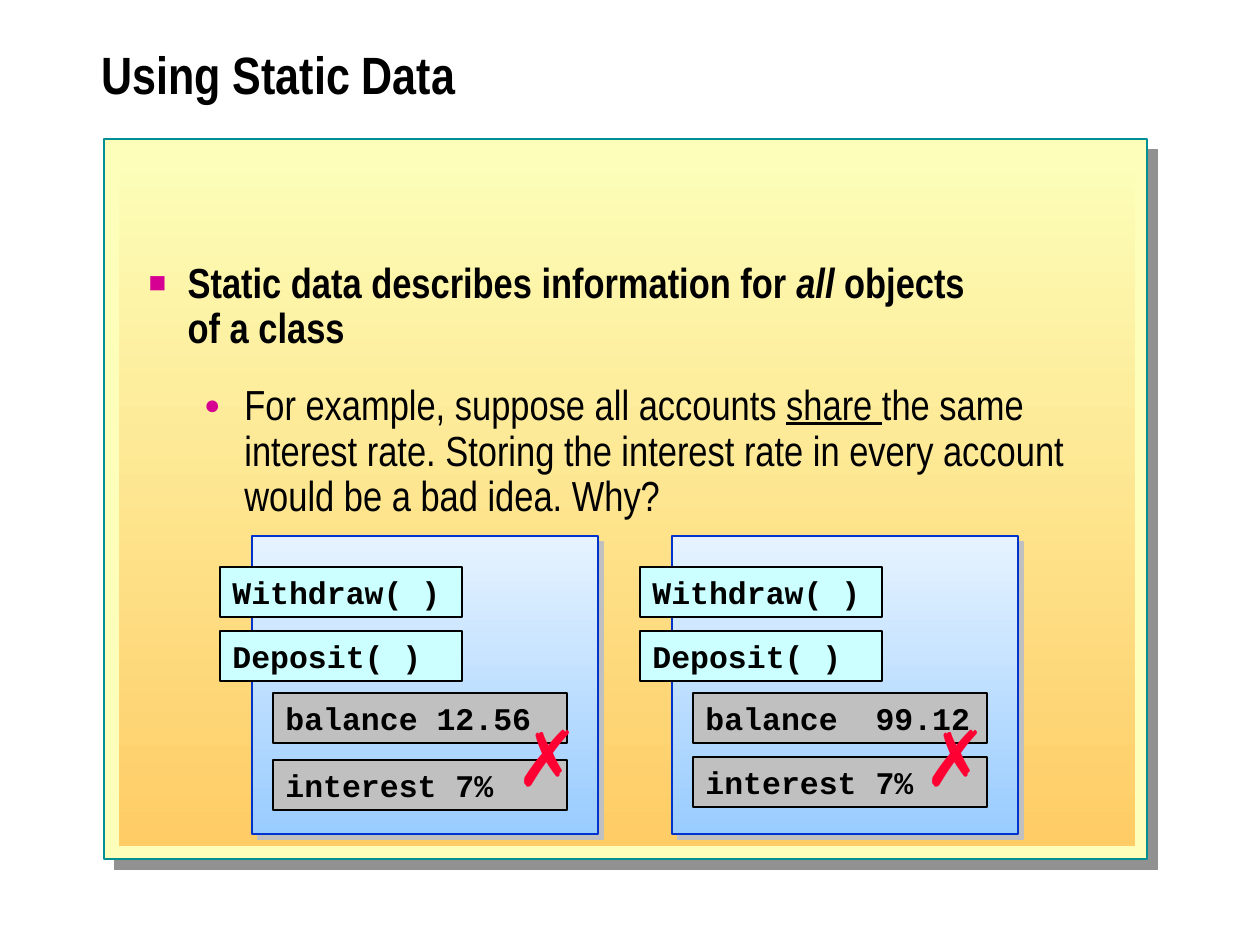
from lxml import etree
from pptx import Presentation
from pptx.dml.color import RGBColor
from pptx.enum.shapes import MSO_SHAPE
from pptx.enum.text import MSO_ANCHOR, MSO_AUTO_SIZE, PP_ALIGN
from pptx.oxml.ns import qn
from pptx.util import Emu, Inches, Pt

RECTANGLE = MSO_SHAPE.RECTANGLE
LEFT = PP_ALIGN.LEFT
TOP, MIDDLE = MSO_ANCHOR.TOP, MSO_ANCHOR.MIDDLE
FIT_SHAPE, NO_FIT = MSO_AUTO_SIZE.SHAPE_TO_FIT_TEXT, MSO_AUTO_SIZE.NONE
EMU_PER_PX = 914400 / 126


def px(length):
    return Emu(round(length * EMU_PER_PX))


def color(hex_string):
    return RGBColor.from_string(hex_string)


class SlideBuilder:
    heading_font = "Arial Narrow"
    code_font = "Courier New"
    symbol_font = "Arial"
    black, accent, red = "000000", "D60093", "FF0033"

    def __init__(self, slide):
        self.slide = slide

    def add_run(self, paragraph, text, font, size, hex_color=black,
                bold=False, italic=False, underline=False):
        run = paragraph.add_run()
        run.text = text
        run.font.name, run.font.size = font, Pt(size)
        run.font.bold, run.font.italic, run.font.underline = bold, italic, underline
        run.font.color.rgb = color(hex_color)

    def rectangle(self, box, fill, line=None, line_width=1, shadow=None):
        """Fill is one colour or a (top, bottom) pair; shadow is (colour, points)."""
        shape = self.slide.shapes.add_shape(RECTANGLE, *map(px, box))
        if isinstance(fill, tuple):
            shape.fill.gradient()
            shape.fill.gradient_angle = 270
            for stop, stop_color in zip(shape.fill.gradient_stops, fill):
                stop.color.rgb = color(stop_color)
        else:
            shape.fill.solid()
            shape.fill.fore_color.rgb = color(fill)
        if line:
            shape.line.color.rgb = color(line)
            shape.line.width = Pt(line_width)
        else:
            shape.line.fill.background()
        shape.shadow.inherit = False
        if shadow:
            shadow_color, distance = shadow
            effects = shape.element.spPr.find(qn("a:effectLst"))
            outer = etree.SubElement(effects, qn("a:outerShdw"), dist=str(Pt(distance)),
                                     dir="2700000", algn="ctr", rotWithShape="0")
            etree.SubElement(outer, qn("a:srgbClr"), val=shadow_color)
        return shape

    def member(self, box, text, fill):
        shape = self.rectangle(box, fill, self.black)
        frame = shape.text_frame
        frame.word_wrap, frame.auto_size = True, FIT_SHAPE
        frame.vertical_anchor = TOP
        paragraph = frame.paragraphs[0]
        paragraph.alignment = LEFT
        self.add_run(paragraph, text, self.code_font, 18, bold=True)

    def cross(self, box):
        frame = self.slide.shapes.add_textbox(*map(px, box)).text_frame
        frame.word_wrap, frame.auto_size = False, FIT_SHAPE
        self.add_run(frame.paragraphs[0], "✗", self.symbol_font, 44, self.red)

    def place(self, placeholder, box, anchor):
        """Position a placeholder in front of everything drawn so far."""
        placeholder.element.getparent().append(placeholder.element)
        placeholder.left, placeholder.top, placeholder.width, placeholder.height = map(px, box)
        frame = placeholder.text_frame
        frame.word_wrap, frame.auto_size, frame.vertical_anchor = True, NO_FIT, anchor
        return frame

    def title(self, box, text):
        paragraph = self.place(self.slide.shapes.title, box, MIDDLE).paragraphs[0]
        paragraph.alignment, paragraph.line_spacing = LEFT, 0.8
        self.add_run(paragraph, text, self.heading_font, 30, bold=True)

    def bullet(self, paragraph, level, symbol, size, margin, hanging):
        paragraph.level, paragraph.alignment = level, LEFT
        paragraph.line_spacing, paragraph.space_before = 0.9, Pt(18)
        properties = paragraph._p.get_or_add_pPr()
        properties.set("marL", str(Inches(margin)))
        properties.set("indent", str(-Inches(hanging)))
        bullet_color = etree.SubElement(properties, qn("a:buClr"))
        etree.SubElement(bullet_color, qn("a:srgbClr"), val=self.accent)
        etree.SubElement(properties, qn("a:buSzPct"), val=str(size * 1000))
        etree.SubElement(properties, qn("a:buFont"), typeface=self.symbol_font)
        etree.SubElement(properties, qn("a:buChar"), char=symbol)

    def body(self, box):
        frame = self.place(self.slide.placeholders[1], box, TOP)
        statement = frame.paragraphs[0]
        self.bullet(statement, 0, "■", 70, 0.31, 0.31)
        font = self.heading_font
        self.add_run(statement, "Static data describes information for ", font, 24, bold=True)
        self.add_run(statement, "all", font, 24, bold=True, italic=True)
        self.add_run(statement, " objects ", font, 24, bold=True)
        statement.add_line_break()
        self.add_run(statement, "of a class", font, 24, bold=True)

        example = frame.add_paragraph()
        self.bullet(example, 1, "●", 65, 0.76, 0.32)
        self.add_run(example, "For example, suppose all accounts ", font, 24)
        self.add_run(example, "share ", font, 24, underline=True)
        self.add_run(example, "the same interest rate. Storing the interest rate in every "
                     "account would be a bad idea. Why?", font, 24)

    def account(self, left, balance, interest_top):
        self.rectangle((left, 536, 346, 298), ("E6F3FF", "99CCFF"), "0033CC", 0.75,
                       ("C0C0C0", 4.2))
        for top, method in ((567, "Withdraw( )"), (631, "Deposit( )")):
            self.member((left - 32, top, 242, 50), method, "CCFFFF")
        for top, field in ((693, balance), (interest_top, "interest 7%")):
            self.member((left + 21, top, 294, 50), field, "C0C0C0")


def main():
    presentation = Presentation()
    presentation.slide_width, presentation.slide_height = px(1260), px(945)
    builder = SlideBuilder(presentation.slides.add_slide(presentation.slide_layouts[1]))

    # Background panel
    builder.rectangle((104, 139, 1043, 720), "FCFEB9", "009094", 1, ("919191", 8.5))
    builder.rectangle((119, 154, 1016, 692), ("FCFEB9", "FFCC66"))

    # Title and bullets
    builder.title((89, 21, 1129, 116), "Using Static Data")
    builder.body((136, 256, 1021, 591))

    # Two account objects, each with its own copy of the interest rate
    builder.account(252, "balance 12.56", 760)
    builder.account(672, "balance  99.12", 757)

    # Crosses on the duplicated rate
    for left in (503, 911):
        builder.cross((left, 703, 78, 105))

    presentation.save("out.pptx")


if __name__ == "__main__":
    main()
